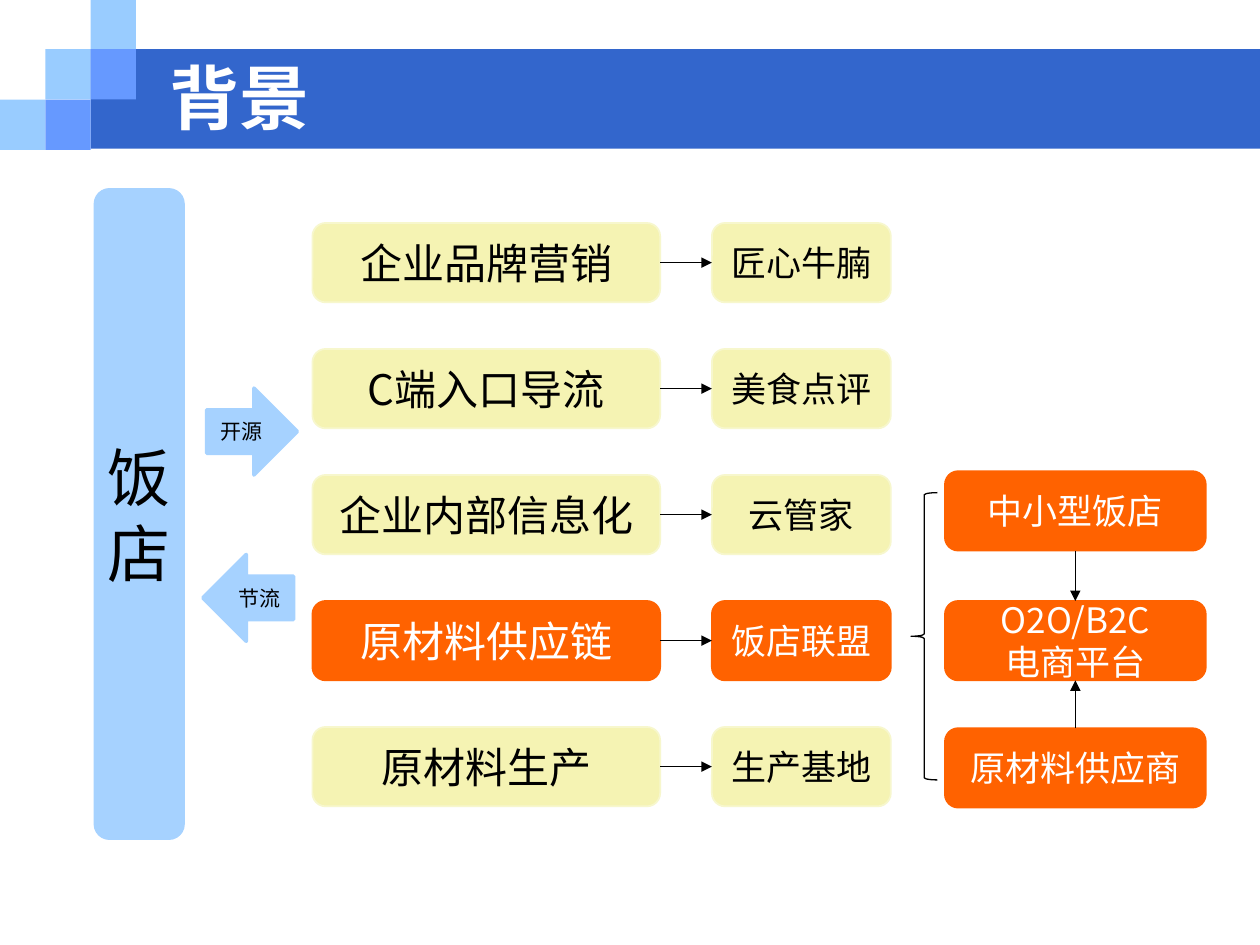
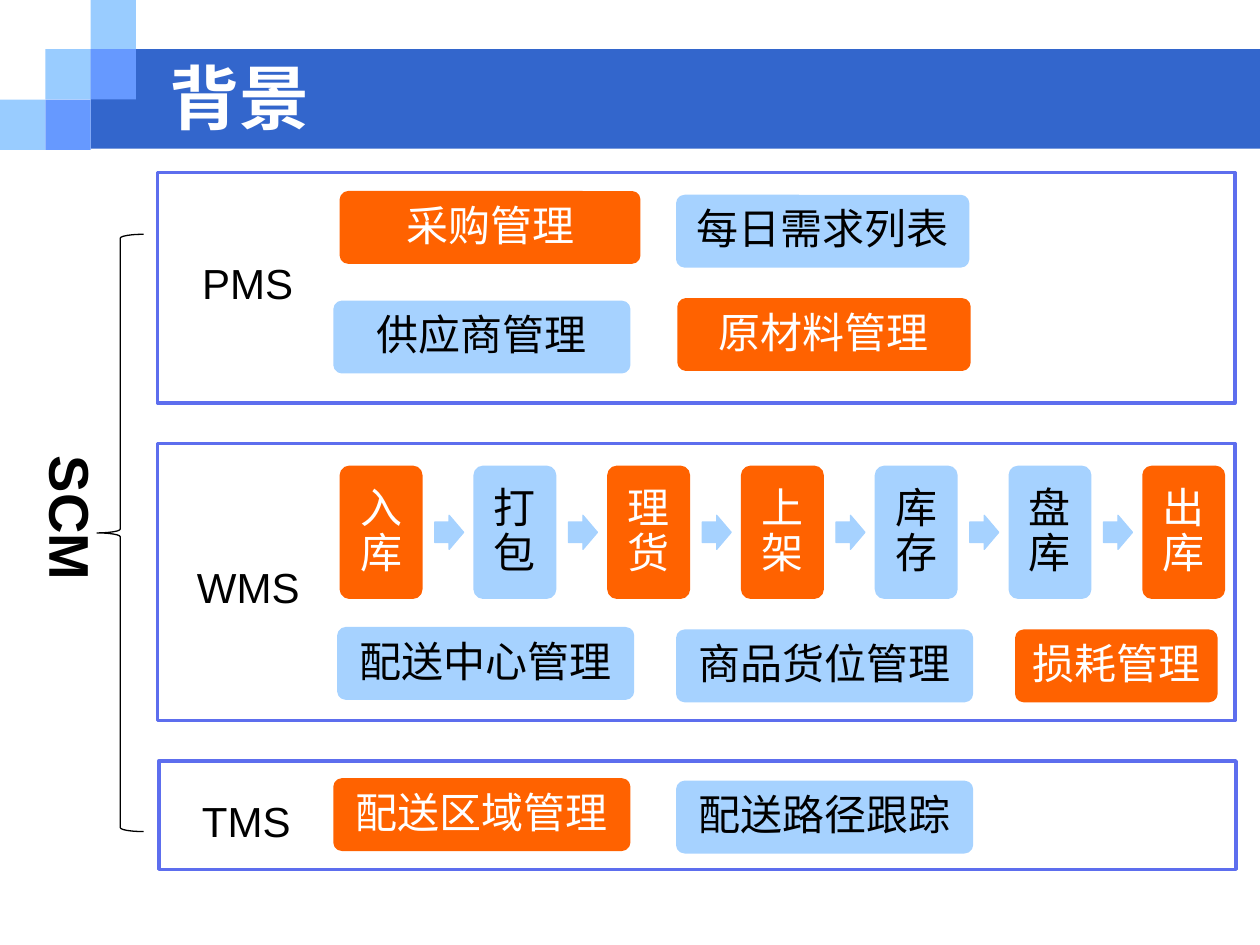
from lxml import etree
from pptx import Presentation
from pptx import util as u
from pptx.dml import color
from pptx.enum import shapes, text
from pptx.oxml import ns

COLORS = {
    "band": "3366CC", "tile": "99CCFF", "overlap": "6699FF", "frame": "5D6EEE",
    "sky": "A6D2FF", "orange": "FF6200", "cream": "F5F3B3", "cream_edge": "F7F7CD",
    "white": "FFFFFF", "black": "000000",
}
CJK, TITLE_FONT, LATIN = "Noto Sans CJK SC", "Noto Sans CJK JP", "Arial"
KIND = shapes.MSO_SHAPE

TITLE = "背景"
TILE_W, TILE_H = 0.36, 0.4
TILES = [(0, 2, "tile"), (1, 1, "tile"), (2, 0, "tile"), (2, 1, "overlap"), (1, 2, "overlap")]

RESTAURANT = "饭店"
BUSINESS_ROWS = [
    ("企业品牌营销", "匠心牛腩", "cream"),
    ("C端入口导流", "美食点评", "cream"),
    ("企业内部信息化", "云管家", "cream"),
    ("原材料供应链", "饭店联盟", "orange"),
    ("原材料生产", "生产基地", "cream"),
]
FLOWS = [
    ("开源", KIND.RIGHT_ARROW, 1.64, 3.08),
    ("节流", KIND.LEFT_ARROW, 1.61, 4.4),
]
PLATFORM = [("中小型饭店", 3.74), ("O2O/B2C\n电商平台", 4.77), ("原材料供应商", 5.78)]

SYSTEMS = [
    ("PMS", (1.25, 1.37, 8.55, 1.83), (1.5, 1.99, 0.93, 0.5)),
    ("WMS", (1.25, 3.52, 8.55, 2.2), (1.46, 4.41, 1.02, 0.5)),
    ("TMS", (1.26, 6.04, 8.55, 0.86), (1.5, 6.26, 0.91, 0.5)),
]
MODULES = [
    ("采购管理", 2.71, 1.53, 2.36, "orange"),
    ("每日需求列表", 5.38, 1.56, 2.3, "sky"),
    ("供应商管理", 2.66, 2.4, 2.33, "sky"),
    ("原材料管理", 5.39, 2.38, 2.3, "orange"),
    ("配送中心管理", 2.69, 4.99, 2.33, "sky"),
    ("商品货位管理", 5.38, 5.01, 2.33, "sky"),
    ("损耗管理", 8.07, 5.01, 1.58, "orange"),
    ("配送区域管理", 2.66, 6.19, 2.33, "orange"),
    ("配送路径跟踪", 5.38, 6.21, 2.33, "sky"),
]
STEPS = [
    ("入库", "orange"), ("打包", "sky"), ("理货", "orange"), ("上架", "orange"),
    ("库存", "sky"), ("盘库", "sky"), ("出库", "orange"),
]
STEP_LEFT, STEP_LAST, STEP_TOP = 2.71, 9.08, 3.71


def rgb(name):
    return color.RGBColor.from_string(COLORS[name])


def inches(values):
    return [u.Inches(value) for value in values]


def write(box, words, size, ink="black", font=CJK, bold=False,
          align=text.PP_ALIGN.CENTER, inset=0.05, spacing=None, wrap=True):
    frame = box.text_frame
    frame.word_wrap = wrap
    frame.vertical_anchor = text.MSO_ANCHOR.MIDDLE
    frame.margin_left = frame.margin_right = u.Inches(inset)
    frame.text = words
    for para in frame.paragraphs:
        para.alignment = align
        para.line_spacing = spacing
        para.font.size = u.Pt(size)
        para.font.bold = bold
        para.font.color.rgb = rgb(ink)
        para.font.name = font
        defaults = para._p.pPr.find(ns.qn("a:defRPr"))
        etree.SubElement(defaults, ns.qn("a:ea"), typeface=font)


def add_box(page, kind, at, fill, edge=None, width=1):
    box = page.shapes.add_shape(kind, *inches(at))
    box.shadow.inherit = False
    box.fill.solid()
    box.fill.fore_color.rgb = rgb(fill)
    if edge:
        box.line.color.rgb = rgb(edge)
        box.line.width = u.Pt(width)
    else:
        box.line.fill.background()
    return box


def add_card(page, words, at, fill, size):
    edge = "cream_edge" if fill == "cream" else fill
    card = add_box(page, KIND.ROUNDED_RECTANGLE, at, fill, edge)
    write(card, words, size, "white" if fill == "orange" else "black")
    return card


def add_module(page, words, at, fill):
    module = add_box(page, KIND.ROUNDED_RECTANGLE, at, fill, fill, 2)
    module.adjustments[0] = 0.1
    write(module, words, 24, "white" if fill == "orange" else "black", spacing=0.9)


def add_label(page, words, at, size, **style):
    label = page.shapes.add_textbox(*inches(at))
    write(label, words, size, **style)
    return label


def add_brace(page, at):
    add_box(page, KIND.LEFT_BRACE, at, "white", "black", 0.75)


def join(page, start, start_side, end, end_side):
    arrow = page.shapes.add_connector(shapes.MSO_CONNECTOR.STRAIGHT, 0, 0, 0, 0)
    arrow.begin_connect(start, start_side)
    arrow.end_connect(end, end_side)
    arrow.line.color.rgb = rgb("black")
    arrow.line.width = u.Pt(0.75)
    etree.SubElement(arrow.line._get_or_add_ln(), ns.qn("a:tailEnd"), type="triangle")
    etree.SubElement(arrow._element.spPr, ns.qn("a:effectLst"))


def add_page(deck):
    page = deck.slides.add_slide(deck.slide_layouts[6])
    add_box(page, KIND.RECTANGLE, (0.72, 0.39, 9.28, 0.79), "band")
    for column, row, fill in TILES:
        add_box(page, KIND.RECTANGLE, (column * TILE_W, row * TILE_H - 0.01 * (row > 0),
                                       TILE_W, TILE_H), fill)
    add_label(page, TITLE, (1.25, 0.5, 8.08, 0.53), 40, ink="white", font=TITLE_FONT,
              bold=True, align=text.PP_ALIGN.LEFT, inset=0.1)
    return page


def build_business(deck):
    page = add_page(deck)
    add_card(page, RESTAURANT, (0.75, 1.5, 0.71, 5.16), "sky", 36)
    for index, (activity, example, fill) in enumerate(BUSINESS_ROWS):
        top = 1.77 + index
        left_card = add_card(page, activity, (2.48, top, 2.76, 0.63), fill, 24)
        right_card = add_card(page, example, (5.65, top, 1.42, 0.63), fill, 20)
        join(page, left_card, 3, right_card, 1)
    for words, kind, left, top in FLOWS:
        flow = add_box(page, kind, (left, top, 0.72, 0.69), "sky", "sky", 2)
        write(flow, words, 12)
    add_brace(page, (7.23, 3.91, 0.21, 2.28))
    buyers, platform, suppliers = [
        add_card(page, words, (7.5, top, 2.07, 0.63), "orange", 20) for words, top in PLATFORM]
    join(page, buyers, 2, platform, 0)
    join(page, suppliers, 0, platform, 2)


def build_systems(deck):
    page = add_page(deck)
    for name, frame_at, label_at in SYSTEMS:
        add_box(page, KIND.RECTANGLE, frame_at, "white", "frame", 2)
        add_label(page, name, label_at, 24, font=LATIN, wrap=False)
    for words, left, top, width, fill in MODULES:
        add_module(page, words, (left, top, width, 0.55), fill)
    pitch = (STEP_LAST - STEP_LEFT) / (len(STEPS) - 1)
    for index, (words, fill) in enumerate(STEPS):
        left = STEP_LEFT + index * pitch
        add_module(page, words, (left, STEP_TOP, 0.63, 1.03), fill)
        if index < len(STEPS) - 1:
            arrow = add_box(page, KIND.RIGHT_ARROW, (left + 0.74, 4.09, 0.23, 0.27),
                            "sky", "sky", 0.75)
            arrow.adjustments[0] = 0.6
    scm = add_label(page, "SCM", (0.2, 3.52, 0.74, 1.1), 32, font=LATIN, bold=True, wrap=False)
    scm.text_frame._txBody.bodyPr.set("vert", "eaVert")
    add_brace(page, (0.77, 1.86, 0.37, 4.74))


def main():
    deck = Presentation()
    deck.slide_width, deck.slide_height = u.Inches(10), u.Inches(7.5)
    build_business(deck)
    build_systems(deck)
    deck.save("out.pptx")


if __name__ == "__main__":
    main()
